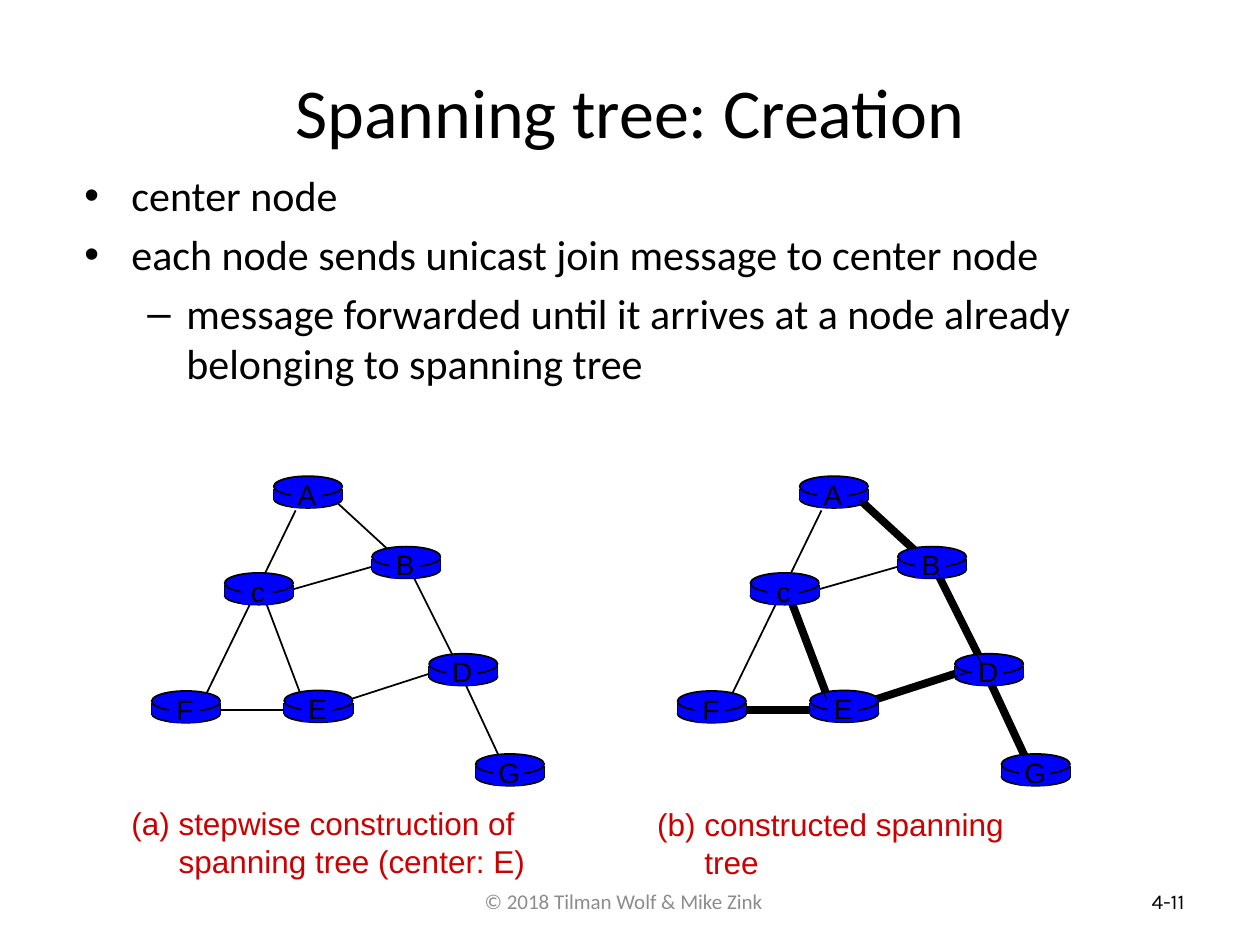
import pptx
import pptx.dml.color
import pptx.enum.shapes
import pptx.enum.text
import pptx.oxml.ns
import pptx.util
from lxml import etree

Cm, Pt = pptx.util.Cm, pptx.util.Pt
SHAPE = pptx.enum.shapes.MSO_SHAPE
ALIGN = pptx.enum.text.PP_ALIGN
ANCHOR = pptx.enum.text.MSO_ANCHOR
COLORS = {"black": "000000", "node": "0000FF", "caption": "CC0000",
          "footer": "8C8C8C"}

# Positions in cm from the top left corner of a graph
NODES = {"A": (2.46, 0), "B": (4.44, 1.42), "G": (6.53, 5.6), "D": (5.59, 3.58),
         "E": (2.67, 4.32), "c": (1.47, 1.95), "F": (0, 4.33)}
TREE_EDGES = [(5.16, 1.8, 6.1, 3.68), (6.12, 3.76, 7.09, 5.84),
              (5.66, 3.96, 3.99, 4.5), (3.1, 4.72, 1.04, 4.72),
              (3.02, 4.45, 2.26, 2.44), (3.71, 0.51, 4.95, 1.65)]
OTHER_EDGES = [(2.74, 2.31, 4.6, 1.78), (2.9, 0.69, 1.02, 4.55)]
OVERLAY_EDGES = [(3.68, 0.48, 4.72, 1.45), (2.34, 2.59, 3, 4.5),
                 (5.26, 1.98, 6.12, 3.78), (6.32, 4.17, 6.93, 5.64),
                 (1.35, 4.75, 2.77, 4.7), (4.04, 4.52, 5.84, 3.96)]


def rgb(name):
    return pptx.dml.color.RGBColor.from_string(COLORS[name])


def write(p, text, size, font="Arial", color="black", align=ALIGN.LEFT):
    p.alignment = align
    r = p.add_run()
    r.text = text
    r.font.color.rgb = rgb(color)
    for key, value in {"size": Pt(size), "name": font}.items():
        setattr(r.font, key, value)


def add_box(shapes, x, y, w, h, wrap=True, anchor=ANCHOR.TOP):
    tf = shapes.add_textbox(Cm(x), Cm(y), Cm(w), Cm(h)).text_frame
    for key, value in {"word_wrap": wrap, "vertical_anchor": anchor}.items():
        setattr(tf, key, value)
    return tf


def indent(p, left, hang, bullet=None, **attrs):
    """Set a hanging indent in cm, with an optional bullet element."""
    pPr = p._p.get_or_add_pPr()
    pPr.set("marL", str(Cm(left)))
    pPr.set("indent", str(-Cm(hang)))
    if bullet:
        etree.SubElement(pPr, pptx.oxml.ns.qn(f"a:{bullet}"), attrs)


def add_line(shapes, x, y, edge, width):
    x1, y1, x2, y2 = edge
    line = shapes.add_connector(pptx.enum.shapes.MSO_CONNECTOR.STRAIGHT,
                                Cm(x + x1), Cm(y + y1), Cm(x + x2), Cm(y + y2))
    line.line.color.rgb = rgb("black")
    line.line.width = Pt(width)
    etree.SubElement(line._element.spPr, pptx.oxml.ns.qn("a:effectLst"))


def add_part(shapes, kind, x, y, w, h):
    """Add one blue part of a node; only the ellipses are outlined."""
    sp = shapes.add_shape(kind, Cm(x), Cm(y), Cm(w), Cm(h))
    sp.shadow.inherit = False
    sp.fill.solid()
    sp.fill.fore_color.rgb = rgb("node")
    if kind == SHAPE.OVAL:
        sp.line.color.rgb = rgb("black")
        sp.line.width = Pt(1)
    else:
        sp.line.fill.background()


def add_node(shapes, x, y, name):
    """Add a router drawn as a flat cylinder with a letter."""
    group = shapes.add_group_shape().shapes
    w = 1.38
    add_part(group, SHAPE.OVAL, x, y + 0.28, w, 0.36)
    for side in (0, w):
        add_line(group, x, y, (side, 0.25, side, 0.48), 1)
    add_part(group, SHAPE.RECTANGLE, x, y + 0.25, w, 0.23)
    add_part(group, SHAPE.OVAL, x, y, w, 0.41)
    add_part(group, SHAPE.RECTANGLE, x + 0.35, y + 0.06, 0.62, 0.58)
    tf = add_box(group, x + 0.21, y - 0.1, 0.92, 0.94, wrap=False)
    write(tf.paragraphs[0], name, 16, align=ALIGN.CENTER)


def add_graph(shapes, x, y, tree_width):
    for edges, width in ((TREE_EDGES, tree_width), (OTHER_EDGES, 1)):
        for edge in edges:
            add_line(shapes, x, y, edge, width)
    for name, (dx, dy) in NODES.items():
        add_node(shapes, x + dx, y + dy, name)


def add_stepwise(shapes, x, y):
    add_graph(shapes, x, y, tree_width=1)
    p = add_box(shapes, x - 0.66, y + 6.48, 8.79, 1.78).paragraphs[0]
    indent(p, 0.95, 0.95, "buAutoNum", type="alphaLcParenBoth")
    write(p, "stepwise construction of spanning tree (center: E)", 18,
          color="caption")


def add_constructed(shapes, x, y):
    add_graph(shapes, x, y, tree_width=4.5)
    for edge in OVERLAY_EDGES:
        add_line(shapes, x, y, edge, 0.75)
    p = add_box(shapes, x - 0.66, y + 6.5, 8.41, 1.78).paragraphs[0]
    indent(p, 0.95, 0.95)
    write(p, "(b) constructed spanning tree", 18, color="caption")


def add_title(s, x, y, w, h):
    title = s.shapes.title
    for key, value in {"left": x, "top": y, "width": w, "height": h}.items():
        setattr(title, key, Cm(value))
    title.text_frame.vertical_anchor = ANCHOR.MIDDLE
    write(title.text_frame.paragraphs[0], "Spanning tree: Creation", 40,
          "Calibri", align=ALIGN.CENTER)


def add_points(shapes, x, y, w, h):
    tf = add_box(shapes, x, y, w, h)
    points = [("•", 0.95, 0.95, "center node"),
              ("•", 0.95, 0.95, "each node sends unicast join message to center node"),
              ("–", 2.06, 0.79, "message forwarded until it arrives at a node "
                                "already belonging to spanning tree")]
    for i, (char, left, hang, text) in enumerate(points):
        p = tf.add_paragraph() if i else tf.paragraphs[0]
        p.space_before = Pt(4.8)
        p.level = int(char == "–")
        indent(p, left, hang, "buFont", typeface="Arial")
        indent(p, left, hang, "buChar", char=char)
        write(p, text, 24, "Calibri")


def add_footer(shapes, x, y):
    tf = add_box(shapes, x, y, 6.2, 1.27, wrap=False)
    write(tf.paragraphs[0], "© 2018 Tilman Wolf & Mike Zink", 12, "Calibri", "footer")
    tf = add_box(shapes, x + 8.69, y - 0.13, 5.92, 1.02, anchor=ANCHOR.MIDDLE)
    write(tf.paragraphs[0], "4-11", 12, "Karla", align=ALIGN.RIGHT)


def main():
    prs = pptx.Presentation()
    prs.slide_width, prs.slide_height = Cm(25.4), Cm(19.05)
    s = prs.slides.add_slide(prs.slide_layouts[5])
    add_title(s, 1.27, 0.64, 22.86, 3.18)
    add_points(s.shapes, 1.45, 3.3, 21.59, 5.59)
    add_stepwise(s.shapes, 3.06, 9.6)
    add_constructed(s.shapes, 13.66, 9.6)
    add_footer(s.shapes, 9.52, 17.78)
    prs.save("out.pptx")


if __name__ == "__main__":
    main()
